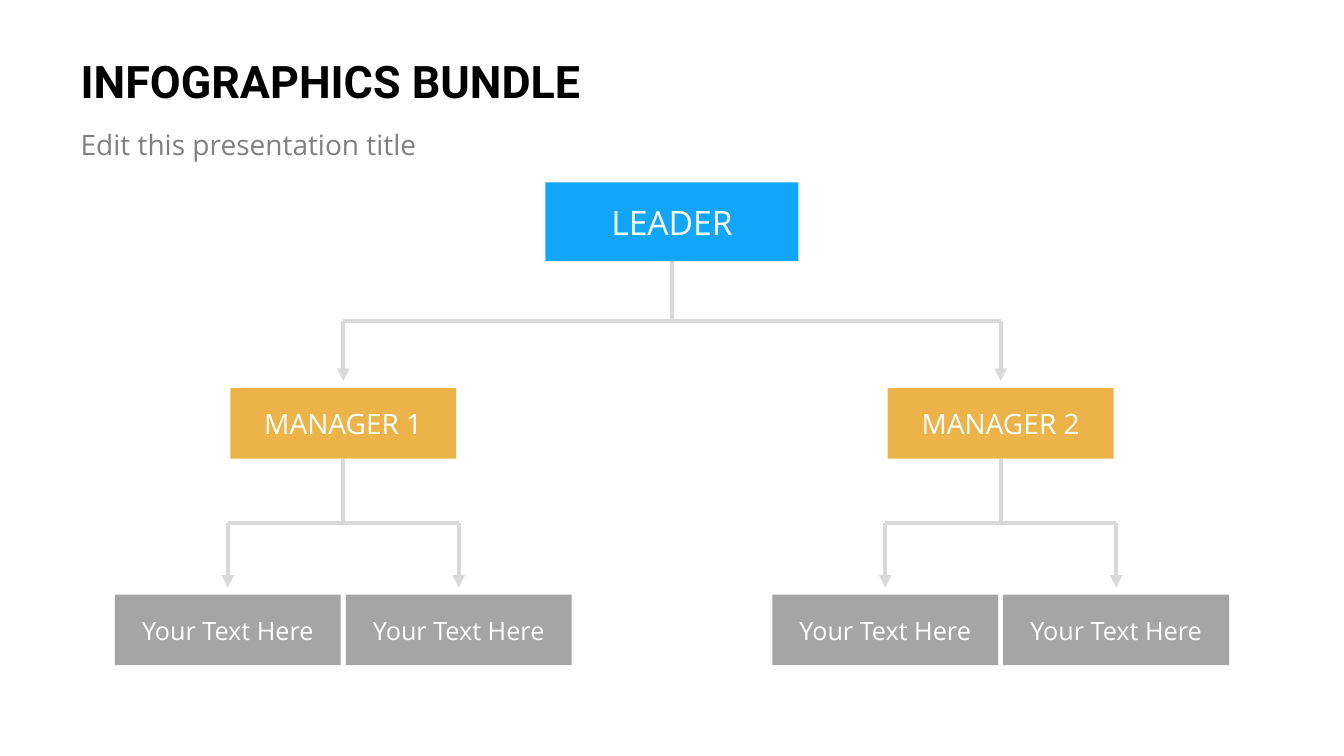
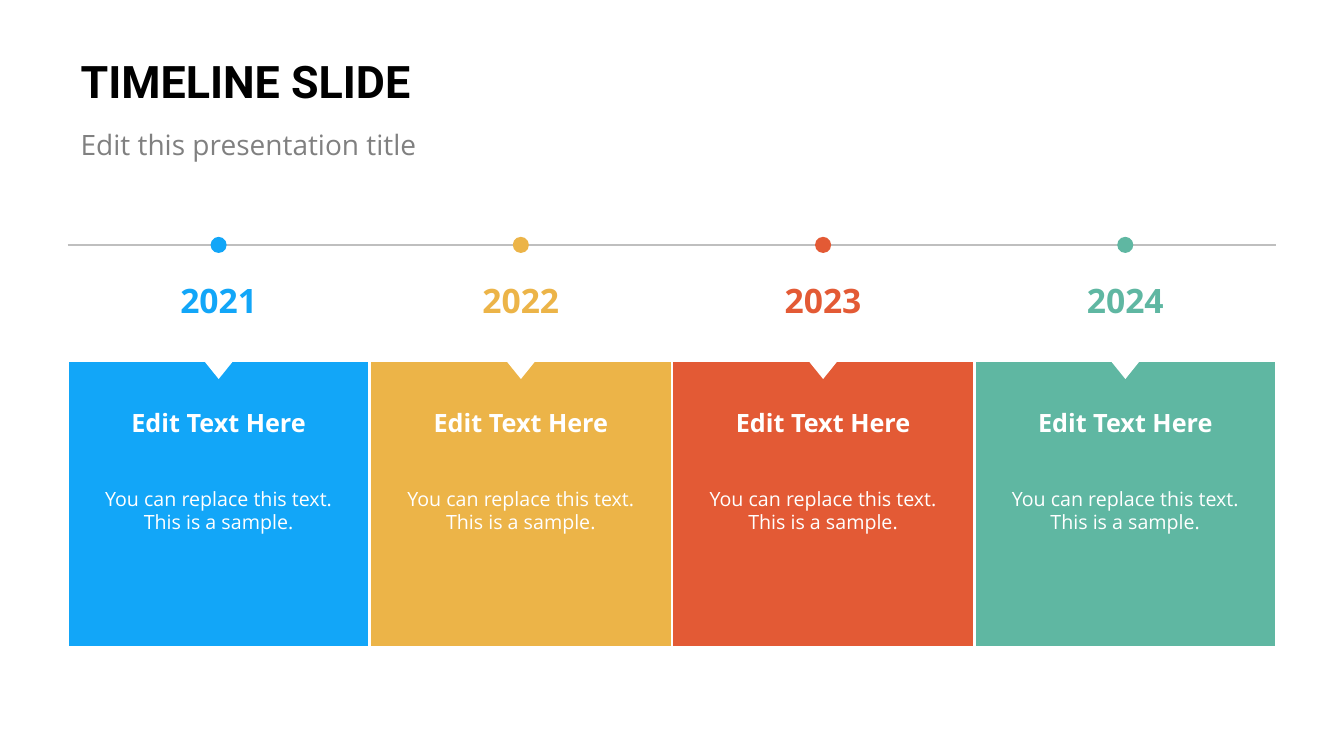
from dataclasses import dataclass

from lxml import etree
from pptx import Presentation
from pptx import util as u
from pptx.dml.color import RGBColor
from pptx.enum import shapes, text
from pptx.oxml.ns import qn
from pptx.slide import Slide

BLUE = RGBColor(0x12, 0xA6, 0xF8)
AMBER = RGBColor(0xEC, 0xB4, 0x48)
RED = RGBColor(0xE3, 0x5A, 0x35)
GREEN = RGBColor(0x5F, 0xB7, 0xA2)
GREY = RGBColor(0xA5, 0xA5, 0xA5)
SUBTITLE_GREY = RGBColor(0x80, 0x80, 0x80)
BRANCH_GREY = RGBColor(0xD9, 0xD9, 0xD9)
AXIS_GREY = RGBColor(0xBF, 0xBF, 0xBF)
BLACK = RGBColor(0, 0, 0)
WHITE = RGBColor(0xFF, 0xFF, 0xFF)

SLIDE_WIDTH, SLIDE_HEIGHT = 13.33, 7.5
CENTRE = SLIDE_WIDTH / 2
MARGIN = 0.67
BODY_FONT, TITLE_FONT = "Open Sans", "Roboto"
MIDDLE, TOP = text.MSO_ANCHOR.MIDDLE, text.MSO_ANCHOR.TOP
CENTRED, LEFT = text.PP_ALIGN.CENTER, text.PP_ALIGN.LEFT
SHAPE = shapes.MSO_SHAPE


@dataclass(frozen=True)
class Area:
    left: float
    top: float
    width: float
    height: float

    @classmethod
    def around(cls, centre: float, top: float, width: float, height: float) -> "Area":
        return cls(centre - width / 2, top, width, height)

    def lengths(self) -> tuple:
        return tuple(map(u.Inches, (self.left, self.top, self.width, self.height)))


@dataclass(frozen=True)
class Style:
    size: int
    color: RGBColor = WHITE
    bold: bool = False
    font: str = BODY_FONT
    align: text.PP_ALIGN = CENTRED
    anchor: text.MSO_ANCHOR = TOP
    wrap: bool = True
    inset: tuple = (0.1, 0.05)


@dataclass(frozen=True)
class Role:
    """One level of the organisation chart."""
    top: float
    width: float
    height: float
    fill: RGBColor
    style: Style


@dataclass(frozen=True)
class Milestone:
    year: str
    color: RGBColor


TITLE = Style(32, BLACK, True, TITLE_FONT, LEFT, MIDDLE, inset=(0.13, 0.07))
SUBTITLE = Style(20, SUBTITLE_GREY, align=LEFT, inset=(0.13, 0.07))
CARD_TITLE = Style(18, bold=True)
CARD_TEXT = Style(14)

LEADER = Role(1.81, 2.51, 0.78, BLUE, Style(24, anchor=MIDDLE))
MANAGER = Role(3.85, 2.24, 0.7, AMBER, Style(20, anchor=MIDDLE))
MEMBER = Role(5.9, 2.24, 0.7, GREY, Style(18, anchor=MIDDLE))
MANAGER_OFFSET = 3.26
MEMBER_OFFSET = 1.145
ARROW_GAP = 0.07

MILESTONES = (Milestone("2021", BLUE), Milestone("2022", AMBER),
              Milestone("2023", RED), Milestone("2024", GREEN))
COLUMN = (SLIDE_WIDTH - 2 * MARGIN) / len(MILESTONES)
AXIS_Y = 2.43
CARD_TOP, CARD_HEIGHT = 3.58, 2.84


def assign(target, values: dict) -> None:
    for name, value in values.items():
        setattr(target, name, value)


def write(shape, words: str, style: Style) -> None:
    frame = shape.text_frame
    across, down = map(u.Inches, style.inset)
    assign(frame, {"word_wrap": style.wrap, "vertical_anchor": style.anchor,
                   "margin_left": across, "margin_right": across,
                   "margin_top": down, "margin_bottom": down})
    para = frame.paragraphs[0]
    para.alignment = style.align
    span = para.add_run()
    span.text = words
    assign(span.font, {"name": style.font, "size": u.Pt(style.size), "bold": style.bold})
    span.font.color.rgb = style.color


def add_text(page: Slide, area: Area, words: str, style: Style) -> None:
    write(page.shapes.add_textbox(*area.lengths()), words, style)


def add_filled(page: Slide, kind: SHAPE, area: Area, fill: RGBColor, outline: float = 0):
    """Draw a plain shape, with a white outline if its width is given."""
    shape = page.shapes.add_shape(kind, *area.lengths())
    shape.shadow.inherit = False
    shape.fill.solid()
    shape.fill.fore_color.rgb = fill
    if outline:
        shape.line.color.rgb = WHITE
        shape.line.width = u.Pt(outline)
    else:
        shape.line.fill.background()
    return shape


def add_line(page: Slide, start: tuple, end: tuple, color: RGBColor,
             width: float, arrow: bool = False) -> None:
    line = page.shapes.add_connector(shapes.MSO_CONNECTOR.STRAIGHT,
                                     *map(u.Inches, start + end))
    line.line.color.rgb = color
    line.line.width = u.Pt(width)
    properties = line._element.spPr
    if arrow:
        etree.SubElement(properties.find(qn("a:ln")), qn("a:tailEnd"), type="triangle")
    etree.SubElement(properties, qn("a:effectLst"))


def add_page(deck, title: str) -> Slide:
    page = deck.slides.add_slide(deck.slide_layouts[6])
    add_text(page, Area(MARGIN, 0.41, 8.5, 0.78), title, TITLE)
    add_text(page, Area(MARGIN, 1.19, 4.33, 0.56), "Edit this presentation title", SUBTITLE)
    return page


def add_role(page: Slide, role: Role, centre: float, words: str) -> None:
    area = Area.around(centre, role.top, role.width, role.height)
    write(add_filled(page, SHAPE.RECTANGLE, area, role.fill), words, role.style)


def add_branch(page: Slide, centre: float, offset: float, upper: Role, lower: Role) -> None:
    """Link one box to the two below it, with the crossbar halfway."""
    top, bottom = upper.top + upper.height, lower.top - ARROW_GAP
    bar = (top + bottom) / 2
    left, right = centre - offset, centre + offset
    add_line(page, (left, bar), (right, bar), BRANCH_GREY, 3)
    add_line(page, (centre, top), (centre, bar), BRANCH_GREY, 3)
    for end in (left, right):
        add_line(page, (end, bar), (end, bottom), BRANCH_GREY, 3, arrow=True)


def add_organisation(deck) -> None:
    page = add_page(deck, "INFOGRAPHICS BUNDLE")
    add_branch(page, CENTRE, MANAGER_OFFSET, LEADER, MANAGER)
    add_role(page, LEADER, CENTRE, "LEADER")
    for number, side in enumerate((-1, 1), start=1):
        centre = CENTRE + side * MANAGER_OFFSET
        add_branch(page, centre, MEMBER_OFFSET, MANAGER, MEMBER)
        add_role(page, MANAGER, centre, f"MANAGER {number}")
        for member_side in (-1, 1):
            add_role(page, MEMBER, centre + member_side * MEMBER_OFFSET, "Your Text Here")


def add_milestone(page: Slide, milestone: Milestone, centre: float) -> None:
    color = milestone.color
    add_filled(page, SHAPE.RECTANGLE,
               Area.around(centre, CARD_TOP, COLUMN, CARD_HEIGHT), color, outline=2)
    notch = add_filled(page, SHAPE.ISOSCELES_TRIANGLE,
                       Area.around(centre, CARD_TOP, 0.29, 0.18), WHITE)
    notch.rotation = 180
    add_filled(page, SHAPE.OVAL, Area.around(centre, AXIS_Y - 0.08, 0.16, 0.16), color)
    add_text(page, Area.around(centre, 2.73, 0.97, 0.5), milestone.year,
             Style(24, color, bold=True, anchor=MIDDLE, wrap=False))
    add_text(page, Area.around(centre, 3.99, 2.69, 0.71), "Edit Text Here", CARD_TITLE)
    add_text(page, Area.around(centre, 4.78, 2.69, 0.81),
             "You can replace this text. This is a sample.", CARD_TEXT)


def add_timeline(deck) -> None:
    page = add_page(deck, "TIMELINE SLIDE")
    add_line(page, (MARGIN, AXIS_Y), (SLIDE_WIDTH - MARGIN, AXIS_Y), AXIS_GREY, 1)
    for column, milestone in enumerate(MILESTONES):
        add_milestone(page, milestone, MARGIN + (column + 0.5) * COLUMN)


def main() -> None:
    deck = Presentation()
    assign(deck, {"slide_width": u.Inches(SLIDE_WIDTH),
                  "slide_height": u.Inches(SLIDE_HEIGHT)})
    add_organisation(deck)
    add_timeline(deck)
    deck.save("out.pptx")


if __name__ == "__main__":
    main()
